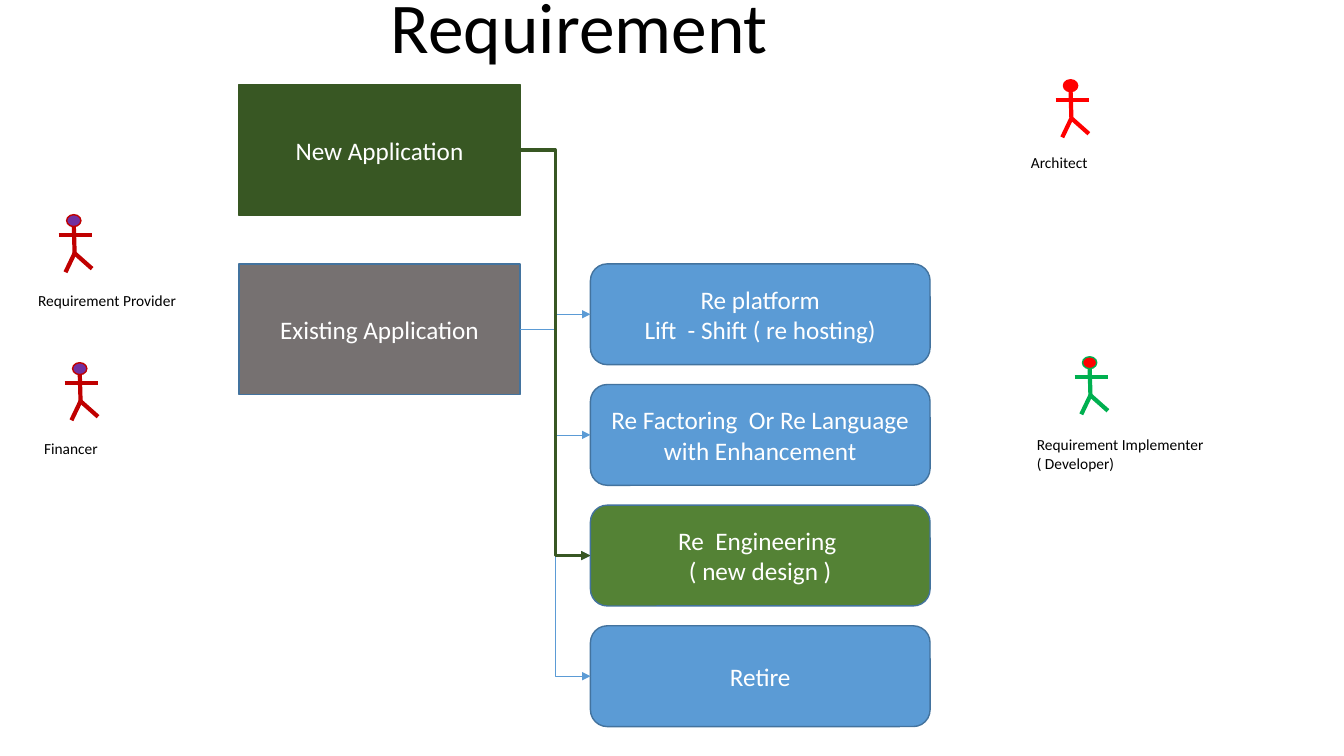
from lxml import etree
from pptx import Presentation
from pptx.dml.color import RGBColor
from pptx.enum import shapes, text
from pptx.oxml import ns
from pptx.util import Cm, Pt

FONT = "Calibri"
COLOURS = {
    "black": "000000",
    "white": "FFFFFF",
    "dark green": "385723",
    "green": "548235",
    "grey": "767171",
    "blue": "5B9BD5",
    "outline": "43739E",
    "crimson": "C00000",
    "purple": "7030A0",
    "red": "FF0000",
    "bright green": "00B050",
}

# Limbs as x1, y1, x2, y2 in cm from the top left of the head
LIMBS = [
    (0.18, 0.28, 0.20, 0.97),
    (0.20, 0.97, -0.03, 1.45),
    (0.20, 0.97, 0.64, 1.36),
    (-0.20, 0.51, 0.64, 0.51),
]

# Head position, label frame, limb colour, head colour, label lines
ACTORS = [
    ((1.68, 5.41), (0.71, 7.21, 4.04, 0.74), "crimson", "purple",
     ["Requirement Provider"]),
    ((27.28, 8.99), (25.88, 10.85, 4.75, 1.19), "bright green", "red",
     ["Requirement Implementer", "( Developer)"]),
    ((26.80, 2.01), (25.73, 3.73, 1.96, 0.74), "red", "red", ["Architect"]),
    ((1.83, 9.14), (0.86, 10.95, 1.88, 0.74), "crimson", "purple",
     ["Financer"]),
]

OPTIONS = [
    ("blue", ["Re platform", "Lift  - Shift ( re hosting)"]),
    ("blue", ["Re Factoring  Or Re Language with Enhancement"]),
    ("green", ["Re  Engineering ", "( new design )"]),
    ("blue", ["Retire"]),
]


def rgb(name):
    return RGBColor.from_string(COLOURS[name])


def write(frame, lines, size, colour, align):
    for index, line in enumerate(lines):
        para = frame.add_paragraph() if index else frame.paragraphs[0]
        para.alignment = align
        span = para.add_run()
        span.text = line
        span.font.name = FONT
        span.font.size = Pt(size)
        span.font.color.rgb = rgb(colour)


def add_figure(parent, kind, frame, fill, line):
    shape = parent.add_shape(kind, *map(Cm, frame))
    shape.shadow.inherit = False
    shape.fill.solid()
    shape.fill.fore_color.rgb = rgb(fill)
    shape.line.color.rgb = rgb(line)
    shape.line.width = Pt(1)
    return shape


def add_box(page, kind, frame, fill, line, lines):
    box = add_figure(page.shapes, kind, frame, fill, line)
    box.text_frame.word_wrap = True
    box.text_frame.vertical_anchor = text.MSO_ANCHOR.MIDDLE
    write(box.text_frame, lines, 18, "white", text.PP_ALIGN.CENTER)
    return box


def add_line(parent, kind, ends, colour, width):
    line = parent.add_connector(kind, *map(Cm, ends))
    line.line.color.rgb = rgb(colour)
    line.line.width = Pt(width)
    etree.SubElement(line._element.spPr, ns.qn("a:effectLst"))
    return line


def add_elbow_arrow(page, source, target, colour, width):
    arrow = add_line(page.shapes, shapes.MSO_CONNECTOR.ELBOW, (0, 0, 1, 1),
                     colour, width)
    arrow.begin_connect(source, 3)
    arrow.end_connect(target, 1)
    outline = arrow._element.spPr.find(ns.qn("a:ln"))
    etree.SubElement(outline, ns.qn("a:tailEnd"), type="triangle")


def add_actor(page, head, label_frame, colour, head_colour, lines):
    parts = page.shapes.add_group_shape().shapes
    x, y = head
    for x1, y1, x2, y2 in LIMBS:
        add_line(parts, shapes.MSO_CONNECTOR.STRAIGHT,
                 (x + x1, y + y1, x + x2, y + y2), colour, 3)
    add_figure(parts, shapes.MSO_SHAPE.OVAL, (x, y, 0.36, 0.3),
               head_colour, colour)
    label = parts.add_textbox(*map(Cm, label_frame)).text_frame
    label.word_wrap = False
    label.auto_size = text.MSO_AUTO_SIZE.SHAPE_TO_FIT_TEXT
    write(label, lines, 11, "black", text.PP_ALIGN.LEFT)


def add_title(page, wording):
    title = page.shapes.title
    title.left, title.top = Cm(0), Cm(-0.18)
    title.width, title.height = Cm(29.21), Cm(1.96)
    frame = title.text_frame
    frame.word_wrap = True
    frame.auto_size = text.MSO_AUTO_SIZE.NONE
    frame.vertical_anchor = text.MSO_ANCHOR.BOTTOM
    write(frame, [wording], 51, "black", text.PP_ALIGN.CENTER)
    frame.paragraphs[0].line_spacing = 0.7


def main():
    deck = Presentation()
    deck.slide_width, deck.slide_height = Cm(33.87), Cm(19.05)
    page = deck.slides.add_slide(deck.slide_layouts[5])
    add_title(page, "Requirement")

    # Starting applications
    new_app = add_box(page, shapes.MSO_SHAPE.RECTANGLE,
                      (6.02, 2.13, 7.09, 3.3), "dark green", "dark green",
                      ["New Application"])
    existing_app = add_box(page, shapes.MSO_SHAPE.RECTANGLE,
                           (6.02, 6.65, 7.09, 3.3), "grey", "outline",
                           ["Existing Application"])

    # Column of options
    options = [
        add_box(page, shapes.MSO_SHAPE.ROUNDED_RECTANGLE,
                (14.88, 6.65 + 3.04 * row, 8.56, 2.54), fill, "outline", lines)
        for row, (fill, lines) in enumerate(OPTIONS)
    ]

    # Routes to the options
    for option in options:
        add_elbow_arrow(page, existing_app, option, "blue", 0.5)
    add_elbow_arrow(page, new_app, options[2], "dark green", 2.25)

    # People involved
    for actor in ACTORS:
        add_actor(page, *actor)

    deck.save("out.pptx")


if __name__ == "__main__":
    main()
